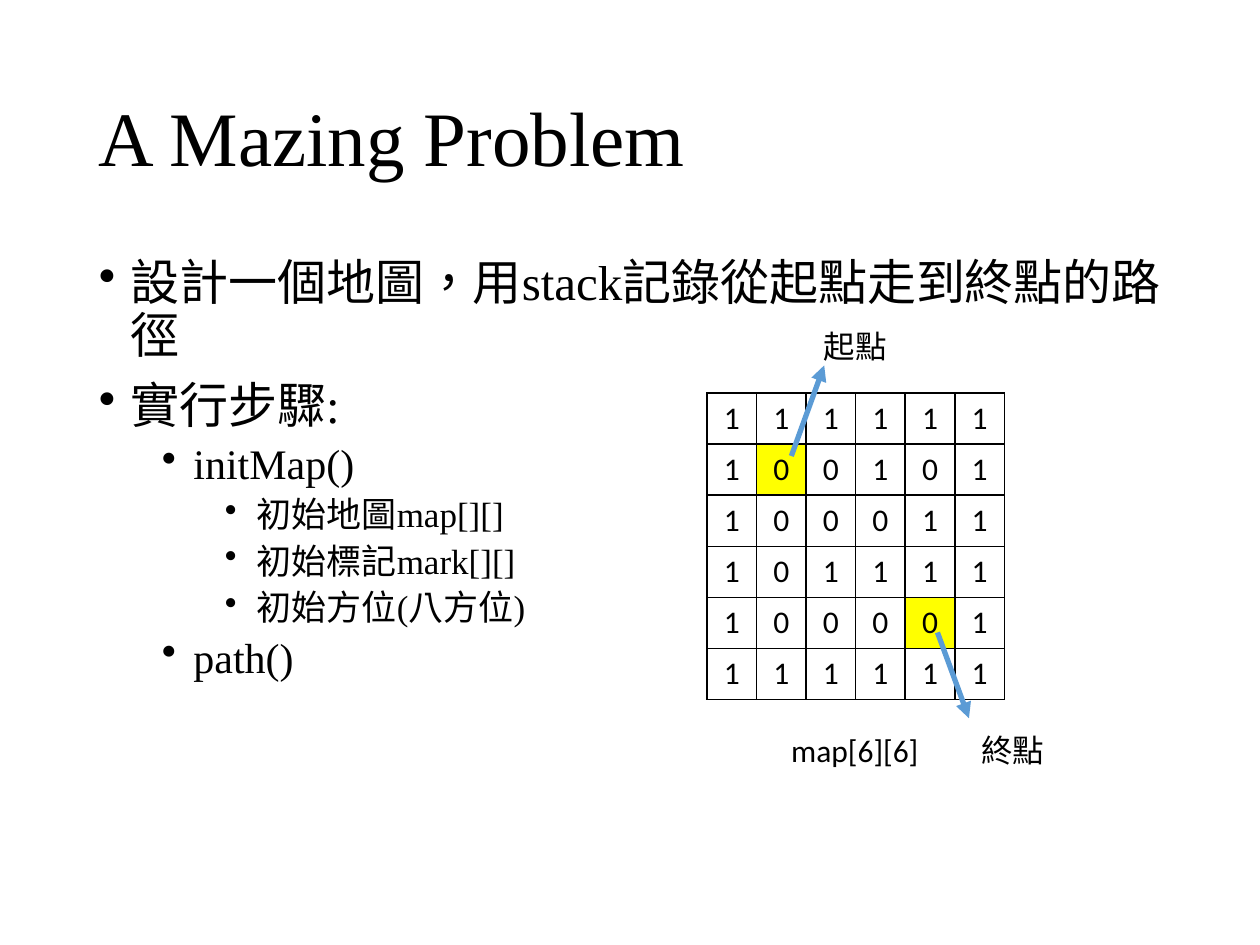
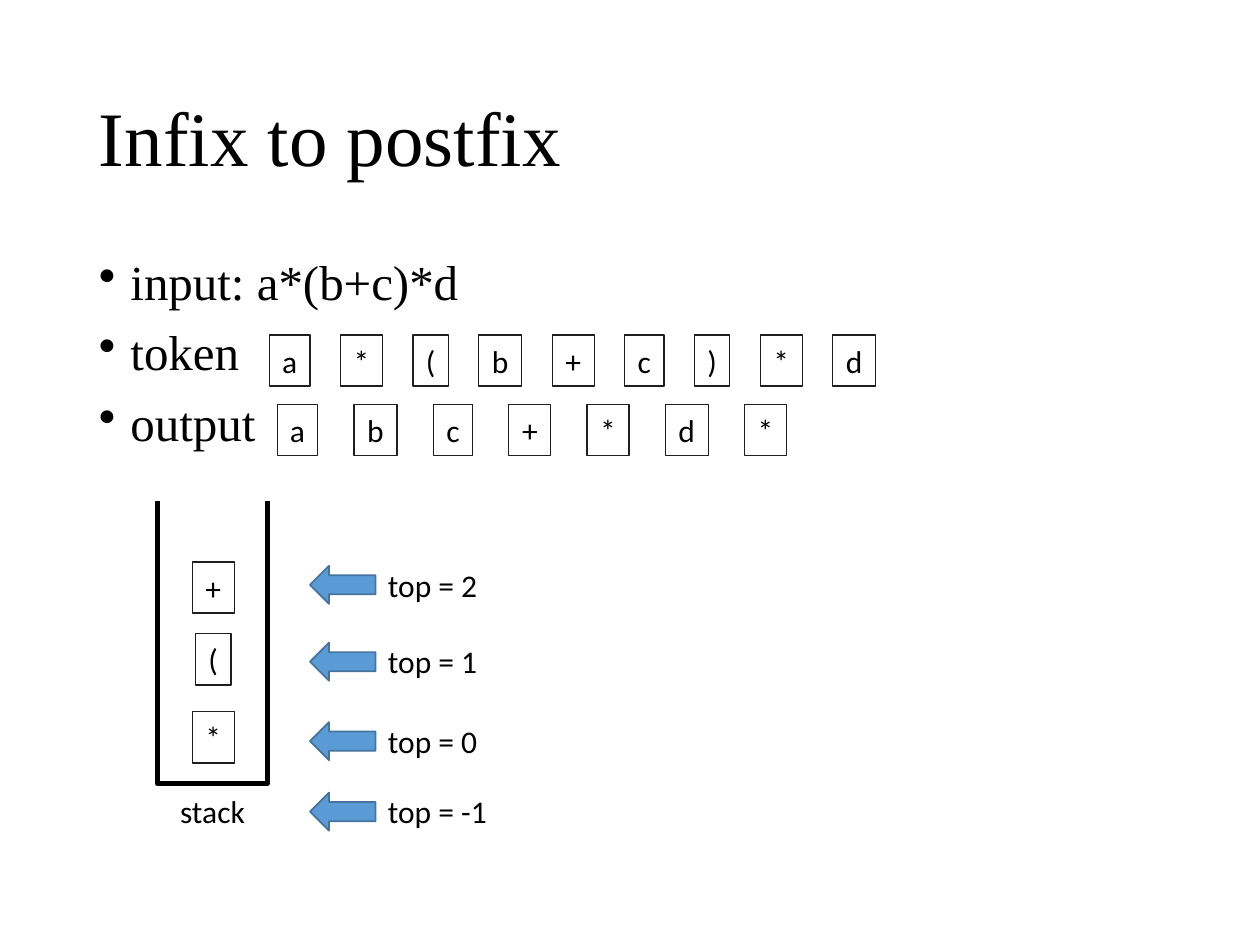
"""Build two slides on stacks: a maze map and infix to postfix."""
from dataclasses import dataclass

from lxml import etree
from pptx import Presentation
from pptx.dml.color import RGBColor
from pptx.enum import shapes as kinds, text as txt
from pptx.oxml.ns import qn
from pptx.util import Pt


@dataclass(frozen=True)
class Theme:
    """Colours, fonts and type sizes of the deck."""
    ink: str = "000000"
    paper: str = "FFFFFF"
    mark: str = "FFFF00"
    blue: str = "5B9BD5"
    edge: str = "43739E"
    frame: str = "1E1E1E"
    serif: str = "Times New Roman"
    sans: str = "Calibri"
    asian: str = "Noto Sans CJK SC"
    title: int = 44
    levels: tuple = (28, 24, 20)
    small: int = 18


@dataclass(frozen=True)
class Box:
    """A region in points."""
    x: float
    y: float
    w: float
    h: float

    def inner(self, dx, dy, w, h):
        """Return a box placed relative to this one."""
        return Box(self.x + dx, self.y + dy, w, h)

    def emu(self):
        """Return the four lengths for a new shape."""
        return [Pt(v) for v in (self.x, self.y, self.w, self.h)]


THEME = Theme()
TITLE = Box(49.5, 28.8, 621, 104.4)
BODY = Box(49.5, 144, 621, 342.7)
LINE = 29.2
WIDTHS = {"a": 23.2, "b": 24.6, "c": 22.5, "d": 24.6,
          "+": 24, "*": 24, "(": 20.2, ")": 20.2}


def tint(hue):
    """Turn a hex string into a colour."""
    return RGBColor.from_string(hue)


def write(para, words, size, face):
    """Add one styled run to a paragraph."""
    run = para.add_run()
    run.text = words
    run.font.size, run.font.name = Pt(size), face
    run.font.color.rgb = tint(THEME.ink)
    props = run._r.get_or_add_rPr()
    props.set("lang", "zh-TW")
    etree.SubElement(props, qn("a:ea"), typeface=THEME.asian)


def add_title(slide, box, words):
    """Place the slide title."""
    frame = slide.shapes.add_textbox(*box.emu()).text_frame
    frame.word_wrap = True
    frame.vertical_anchor = txt.MSO_ANCHOR.MIDDLE
    para = frame.paragraphs[0]
    para.line_spacing = 0.9
    write(para, words, THEME.title, THEME.serif)


def add_body(slide, box, items):
    """Place a bullet list of (level, words) pairs."""
    frame = slide.shapes.add_textbox(*box.emu()).text_frame
    frame.word_wrap = True
    for i, (level, words) in enumerate(items):
        para = frame.add_paragraph() if i else frame.paragraphs[0]
        para.level, para.line_spacing = level, 0.9
        para.space_before = Pt(5 if level else 10)
        props = para._p.get_or_add_pPr()
        props.set("marL", str(Pt(18 + 36 * level)))
        props.set("indent", str(Pt(-18)))
        etree.SubElement(props, qn("a:buChar"), char="•")
        write(para, words, THEME.levels[level], THEME.serif)


def add_label(slide, box, words, face=THEME.sans):
    """Place a one-line label that fits its text."""
    frame = slide.shapes.add_textbox(*box.emu()).text_frame
    frame.word_wrap = False
    frame.auto_size = txt.MSO_AUTO_SIZE.SHAPE_TO_FIT_TEXT
    write(frame.paragraphs[0], words, THEME.small, face)


def add_arrow(slide, box, start, end):
    """Draw a line with an arrowhead between two points of the box."""
    ends = [Pt(v) for dx, dy in (start, end) for v in (box.x + dx, box.y + dy)]
    link = slide.shapes.add_connector(kinds.MSO_CONNECTOR.STRAIGHT, *ends)
    link.line.color.rgb, link.line.width = tint(THEME.blue), Pt(3)
    props = link._element.spPr
    etree.SubElement(props.get_or_add_ln(), qn("a:tailEnd"), type="triangle")
    etree.SubElement(props, qn("a:effectLst"))


def add_edges(cell):
    """Give a table cell thin borders on all sides."""
    props = cell._tc.get_or_add_tcPr()
    for i, side in enumerate(("lnL", "lnR", "lnT", "lnB")):
        edge = etree.Element(qn(f"a:{side}"), w=str(Pt(1)))
        fill = etree.SubElement(edge, qn("a:solidFill"))
        etree.SubElement(fill, qn("a:srgbClr"), val=THEME.ink)
        props.insert(i, edge)


def add_grid(slide, box, rows, marks):
    """Place the map as a table, with marked cells filled."""
    table = slide.shapes.add_table(len(rows), len(rows[0]), *box.emu()).table
    table.first_row = table.horz_banding = False
    for col in table.columns:
        col.width = Pt(box.w / len(rows[0]))
    for r, row in enumerate(rows):
        table.rows[r].height = Pt(box.h / len(rows))
        for c, digit in enumerate(row):
            cell = table.cell(r, c)
            cell.fill.solid()
            cell.fill.fore_color.rgb = tint(THEME.mark if (r, c) in marks else THEME.paper)
            para = cell.text_frame.paragraphs[0]
            para.alignment = txt.PP_ALIGN.CENTER
            write(para, digit, THEME.small, THEME.sans)
            add_edges(cell)


def add_map(slide, box):
    """Place the maze with its start and end labels."""
    rows = ("111111", "100101", "100011", "101111", "100001", "111111")
    add_grid(slide, box.inner(0, 41, 170, 6 * LINE), rows, {(1, 1), (4, 4)})
    add_label(slide, box.inner(41, 230.4, 87.8, LINE), "map[6][6]")
    add_arrow(slide, box, (48.2, 77), (67, 25.2))
    add_label(slide, box.inner(59.7, 0, 51, LINE), "起點", THEME.asian)
    add_arrow(slide, box, (131.7, 177.8), (149.7, 226.8))
    add_label(slide, box.inner(149.7, 230.4, 51, LINE), "終點", THEME.asian)


def add_token(slide, box, sign):
    """Draw one framed symbol."""
    tile = slide.shapes.add_shape(kinds.MSO_SHAPE.RECTANGLE, *box.emu())
    tile.shadow.inherit = False
    tile.fill.background()
    tile.line.color.rgb, tile.line.width = tint(THEME.frame), Pt(0.75)
    tile.text_frame.word_wrap = False
    para = tile.text_frame.paragraphs[0]
    para.alignment = txt.PP_ALIGN.CENTER
    write(para, sign, THEME.small, THEME.sans)


def add_row(slide, box, signs):
    """Spread symbols over the box with equal gaps."""
    gap = (box.w - sum(WIDTHS[s] for s in signs)) / (len(signs) - 1)
    left = 0
    for sign in signs:
        add_token(slide, box.inner(left, 0, WIDTHS[sign], box.h), sign)
        left += WIDTHS[sign] + gap


def add_top(slide, box, words):
    """Place a block arrow with the value of top beside it."""
    arrow = slide.shapes.add_shape(kinds.MSO_SHAPE.LEFT_ARROW,
                                   *box.inner(0, 3.6, 37.5, 21.8).emu())
    arrow.shadow.inherit = False
    arrow.fill.solid()
    arrow.fill.fore_color.rgb = tint(THEME.blue)
    arrow.line.color.rgb, arrow.line.width = tint(THEME.edge), Pt(1)
    add_label(slide, box.inner(37.5, 0, box.w - 37.5, box.h), words)


def add_stack(slide, box):
    """Draw the open stack, its symbols and the top markers."""
    right, base = box.x + box.w, box.y + box.h
    pen = slide.shapes.build_freeform(Pt(box.x), Pt(box.y))
    pen.add_line_segments([(Pt(x), Pt(y)) for x, y in (
        (box.x, base), (right, base), (right, box.y))], close=False)
    wall = pen.convert_to_shape()
    wall.shadow.inherit = False
    wall.fill.background()
    wall.line.color.rgb, wall.line.width = tint(THEME.ink), Pt(3)
    add_label(slide, box.inner(5.8, 162.8, 52, LINE), "stack")
    for sign, dy in (("+", 34.6), ("(", 75.7), ("*", 120.3)):
        wide = WIDTHS[sign]
        add_token(slide, box.inner((box.w - wide) / 2 + 0.5, dy, wide, LINE), sign)
    for top, dy in ((2, 33.2), (1, 77.1), (0, 122.5), (-1, 162.8)):
        add_top(slide, box.inner(87.1, dy, 109.5 if top < 0 else 103.7, LINE), f"top = {top}")


def add_page(deck, title, items):
    """Add a slide with a title and a bullet list."""
    slide = deck.slides.add_slide(deck.slide_layouts[6])
    add_title(slide, TITLE, title)
    add_body(slide, BODY, items)
    return slide


def main():
    """Build and save the deck."""
    deck = Presentation()
    deck.slide_width, deck.slide_height = Pt(720), Pt(540)

    maze = add_page(deck, "A Mazing Problem", (
        (0, "設計一個地圖，用stack記錄從起點走到終點的路徑"),
        (0, "實行步驟:"),
        (1, "initMap()"),
        (2, "初始地圖map[][]"),
        (2, "初始標記mark[][]"),
        (2, "初始方位(八方位)"),
        (1, "path()")))
    add_map(maze, Box(404, 183.6, 201, 259.6))

    infix = add_page(deck, "Infix to postfix", (
        (0, "input: a*(b+c)*d"), (0, "token"), (0, "output")))
    add_row(infix, Box(154, 191.5, 346.4, LINE), "a*(b+c)*d")
    add_row(infix, Box(158.4, 231.1, 291, LINE), "abc+*d*")
    add_stack(infix, Box(90, 286.5, 62.7, 161.3))

    deck.save("out.pptx")


if __name__ == "__main__":
    main()
